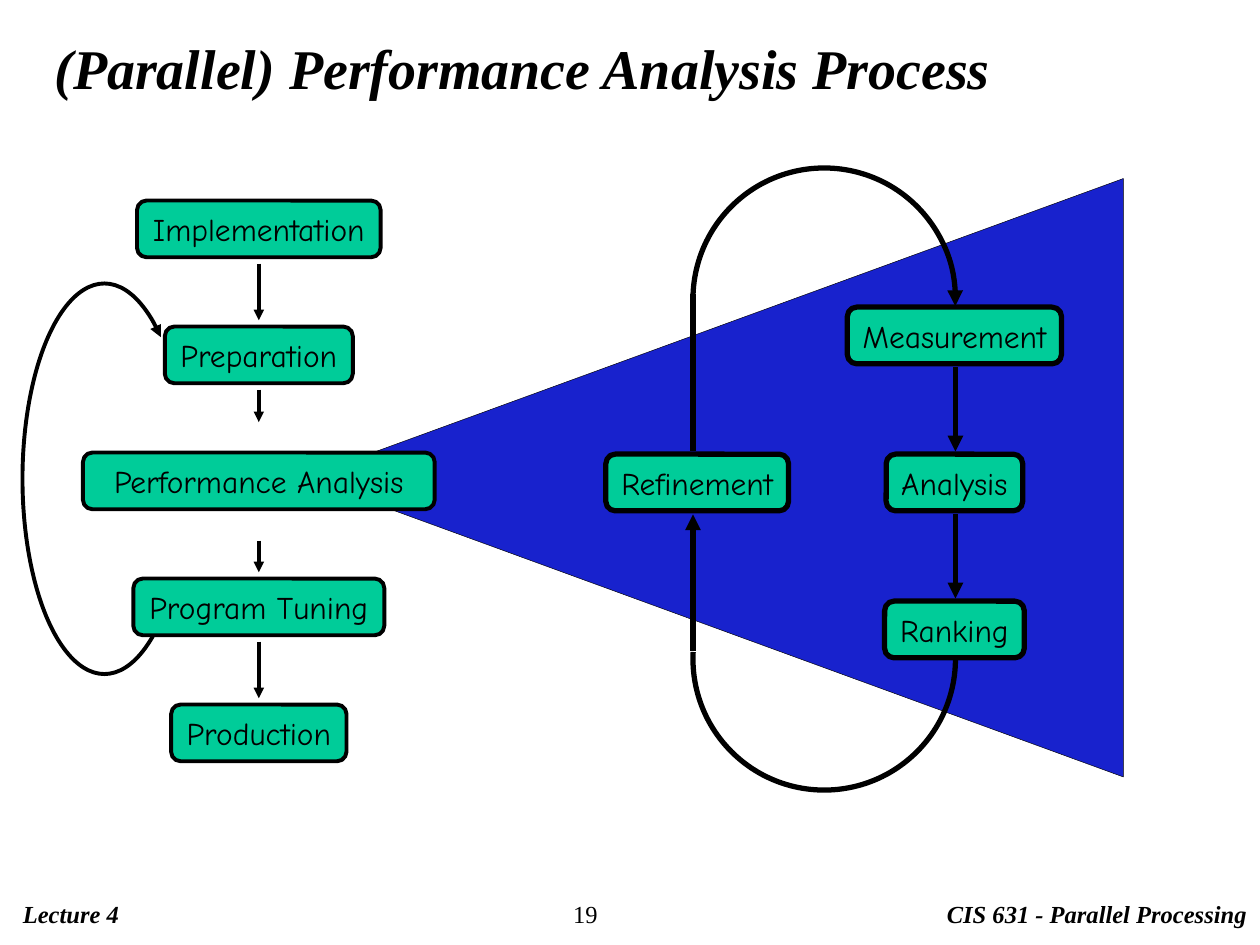
import pptx
import pptx.dml.color
import pptx.enum.shapes
import pptx.enum.text
import pptx.oxml
import pptx.oxml.ns
import pptx.util

BLACK = pptx.dml.color.RGBColor(0x00, 0x00, 0x00)
GREEN = pptx.dml.color.RGBColor(0x00, 0xCC, 0x99)
BLUE = pptx.dml.color.RGBColor(0x18, 0x22, 0xCD)
SHAPES = pptx.enum.shapes.MSO_SHAPE
ALIGN = pptx.enum.text.PP_ALIGN
ANCHOR = pptx.enum.text.MSO_ANCHOR


class DiagramSlide:
    """Draws on one slide; lengths are columns and rows of a 1/12 inch grid."""

    UNIT = pptx.util.Inches(1) / 12
    HEADING_FONT = "Times New Roman"
    BOX_FONT = "Comic Neue"
    BOX_HEIGHT = 5.4

    def __init__(self, presentation):
        self.slide = presentation.slides.add_slide(presentation.slide_layouts[6])
        self.shapes = self.slide.shapes

    def grid(self, *cells):
        return [pptx.util.Emu(round(cell * self.UNIT)) for cell in cells]

    def add_wording(self, frame, wording, font_name, size, bold_italic=False, align=ALIGN.LEFT):
        paragraph = frame.paragraphs[0]
        paragraph.alignment = align
        run = paragraph.add_run()
        run.text = wording
        font = run.font
        font.name, font.size = font_name, pptx.util.Pt(size)
        font.bold = font.italic = bold_italic
        font.color.rgb = BLACK

    def label(self, wording, left, top, width, height, size, bold_italic=True):
        frame = self.shapes.add_textbox(*self.grid(left, top, width, height)).text_frame
        frame.word_wrap = True
        frame.vertical_anchor = ANCHOR.MIDDLE
        self.add_wording(frame, wording, self.HEADING_FONT, size, bold_italic)

    def stroke(self, shape, weight, arrow=False):
        shape.line.color.rgb = BLACK
        shape.line.width = pptx.util.Pt(weight)
        if arrow:
            tail = pptx.oxml.parse_xml(
                f'<a:tailEnd {pptx.oxml.ns.nsdecls("a")} type="triangle"/>')
            shape._element.spPr.find(pptx.oxml.ns.qn("a:ln")).append(tail)

    def box(self, wording, center, top, width, weight):
        step = self.shapes.add_shape(
            SHAPES.ROUNDED_RECTANGLE,
            *self.grid(center - width / 2, top, width, self.BOX_HEIGHT))
        step.shadow.inherit = False
        step.fill.solid()
        step.fill.fore_color.rgb = GREEN
        self.stroke(step, weight)
        frame = step.text_frame
        frame.word_wrap = False
        frame.vertical_anchor = ANCHOR.MIDDLE
        self.add_wording(frame, wording, self.BOX_FONT, 18, align=ALIGN.CENTER)

    def line(self, column, start, end, weight, arrow=True):
        """Draw a vertical line from row start to row end."""
        connector = self.shapes.add_connector(
            pptx.enum.shapes.MSO_CONNECTOR.STRAIGHT,
            *self.grid(column, start, column, end))
        connector._element.spPr.append(
            pptx.oxml.parse_xml(f'<a:effectLst {pptx.oxml.ns.nsdecls("a")}/>'))
        self.stroke(connector, weight, arrow)

    def arc(self, center, radii, degrees, weight, arrow=False):
        """Draw a clockwise part of an ellipse; 0 degrees points right."""
        (x, y), (rx, ry) = center, radii
        curve = self.shapes.add_shape(
            SHAPES.ARC, *self.grid(x - rx, y - ry, 2 * rx, 2 * ry))
        curve.shadow.inherit = False
        curve.fill.background()
        for index, angle in enumerate(degrees):
            curve.adjustments[index] = angle * 0.6  # 60000 units per degree
        self.stroke(curve, weight, arrow)

    def wedge(self, corners):
        first, *others = [self.grid(*corner) for corner in corners]
        builder = self.shapes.build_freeform(*first)
        builder.add_line_segments(others, close=True)
        outline = builder.convert_to_shape()
        outline.shadow.inherit = False
        outline.fill.solid()
        outline.fill.fore_color.rgb = BLUE
        self.stroke(outline, 0.25)


def main():
    presentation = pptx.Presentation()
    presentation.slide_width = pptx.util.Inches(10)
    presentation.slide_height = pptx.util.Inches(7.5)
    diagram = DiagramSlide(presentation)

    diagram.label("CIS 631 - Parallel Processing", 89, 85, 31, 4.1, 14)
    diagram.label("Lecture 4", 1, 85, 50, 4.1, 14)
    diagram.label("19", 53.4, 85, 12, 4.1, 14, bold_italic=False)
    diagram.label("(Parallel) Performance Analysis Process", 4, 3.4, 113, 6, 32)

    # Analysis cycle on the right
    diagram.wedge([(107, 17), (35, 43.3), (35, 47.7), (107, 74)])
    cycle_left, cycle_right, cycle_top, cycle_pitch = 66, 91, 29.25, 14
    for row, (wording, width) in enumerate(
            [("Measurement", 20.4), ("Analysis", 13), ("Ranking", 13.3)]):
        diagram.box(wording, cycle_right - 0.1, cycle_top + row * cycle_pitch, width, 3)
    diagram.box("Refinement", cycle_left + 0.4, cycle_top + cycle_pitch, 17.4, 3)
    radius = (cycle_right - cycle_left) / 2
    middle = cycle_left + radius
    diagram.arc((middle, 62.75), (radius, radius), (0, 183), 3)
    diagram.line(cycle_left, 62, 49, 3)
    diagram.arc((middle, 28.5), (radius, radius), (180, 3), 3, arrow=True)
    diagram.line(cycle_left, 28, 43, 3, arrow=False)
    for start, end in [(35, 43), (49, 57)]:
        diagram.line(cycle_right, start, end, 3)

    # Development process on the left
    process_center, process_top, process_pitch = 24.65, 19.1, 12
    diagram.arc((9.95, 45.6), (7.8, 18.6), (70.4, 291.7), 2.25, arrow=True)
    for row, (wording, width) in enumerate(
            [("Implementation", 23.2), ("Preparation", 17.9),
             ("Performance Analysis", 33.5), ("Program Tuning", 23.9),
             ("Production", 16.7)]):
        diagram.box(wording, process_center, process_top + row * process_pitch, width, 2.25)
    for start, end in [(25.1, 30.5), (37.1, 40.2), (51.5, 54.5), (61.1, 66.5)]:
        diagram.line(process_center, start, end, 2)

    presentation.save("out.pptx")


if __name__ == "__main__":
    main()
